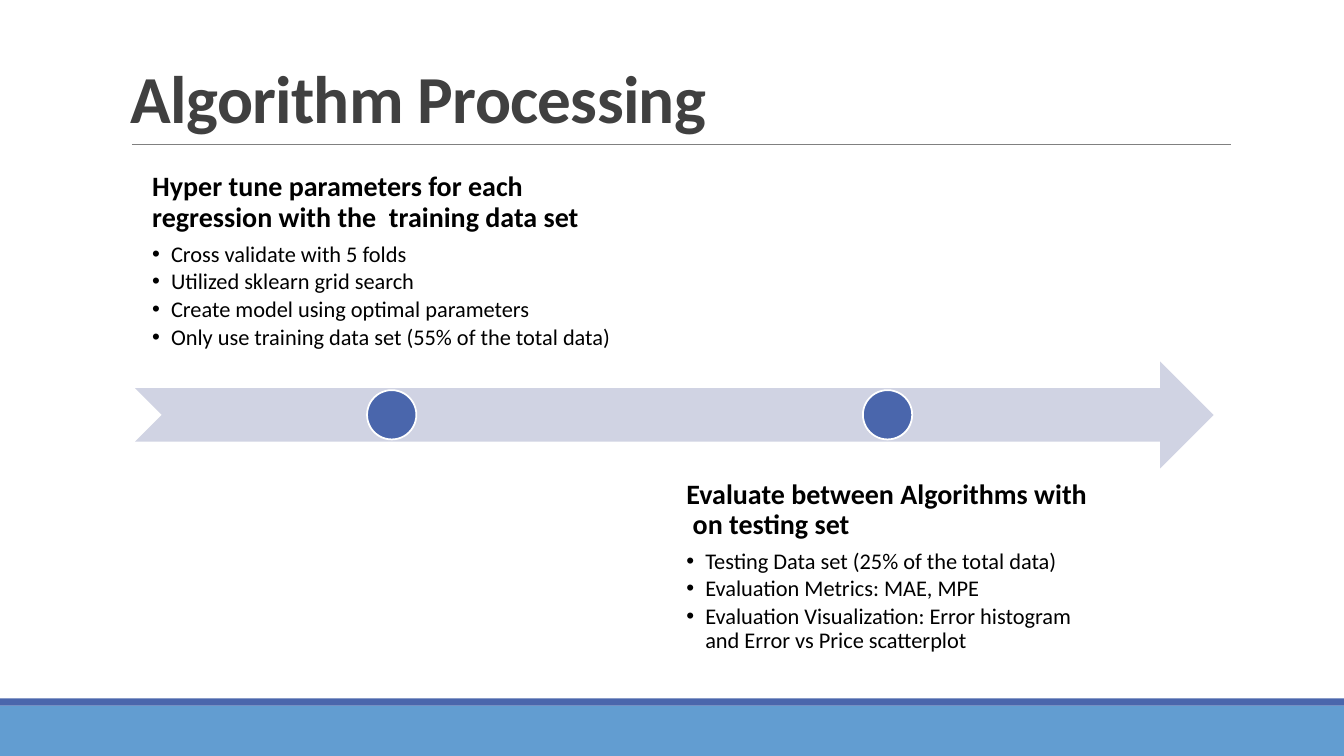
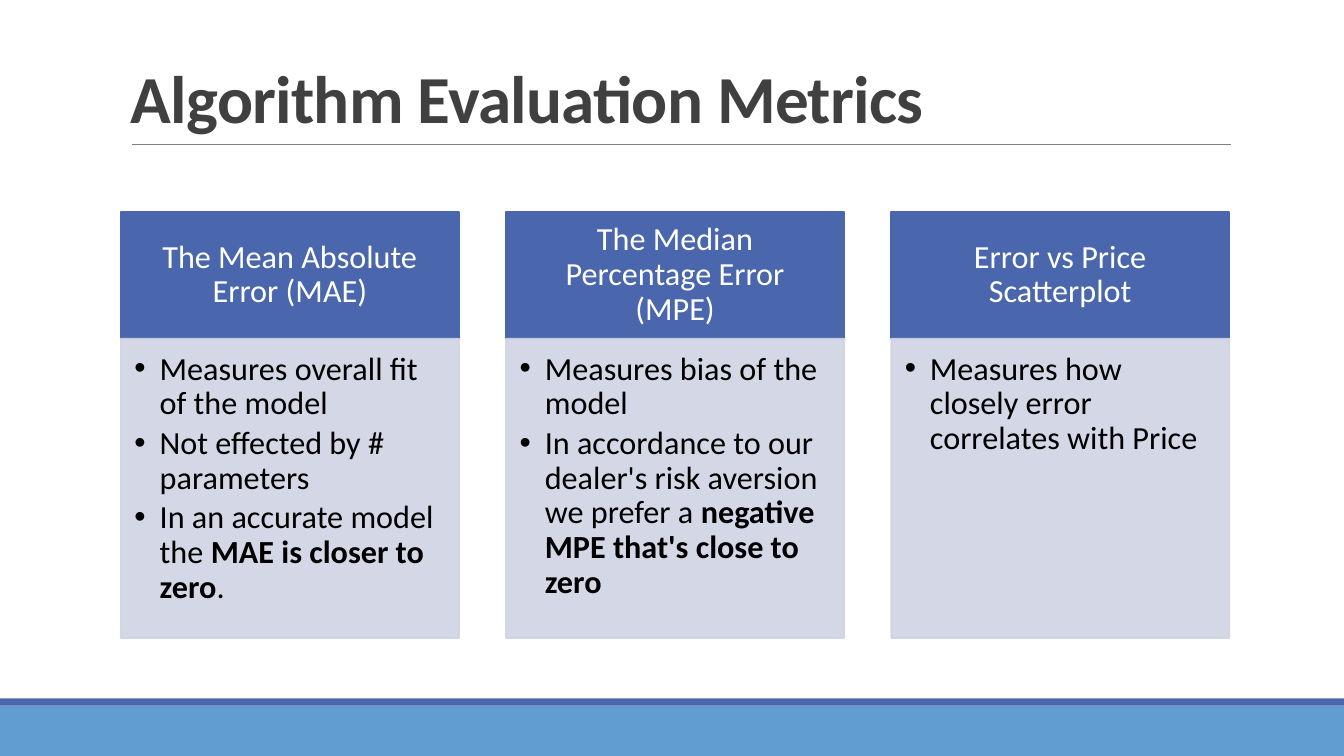
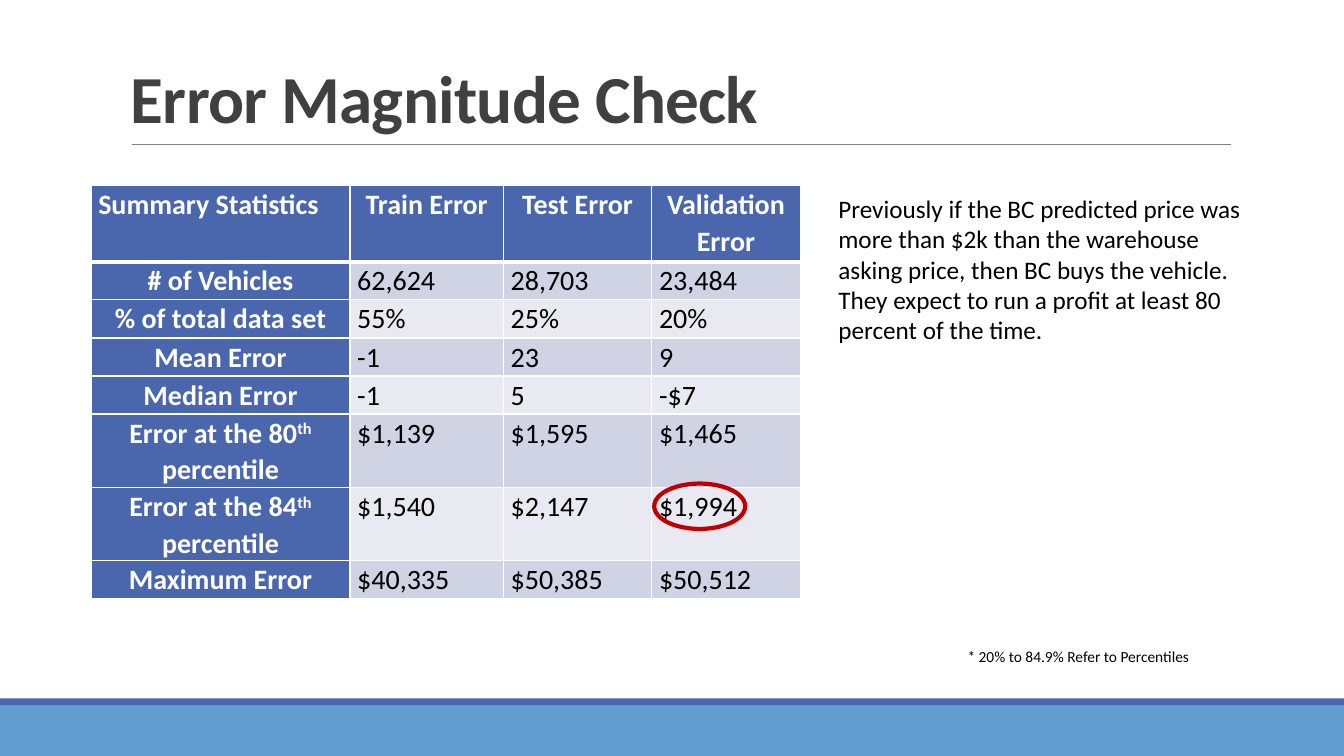
import pptx
import pptx.util
import pptx.dml.color
import pptx.enum.shapes
import pptx.enum.text
import pptx.oxml
from lxml import etree
from pptx.oxml import ns

Pt = pptx.util.Pt
MSO_SHAPE = pptx.enum.shapes.MSO_SHAPE
ANCHOR = pptx.enum.text.MSO_ANCHOR
CENTER = pptx.enum.text.PP_ALIGN.CENTER
FONT = "Calibri"
COLORS = {
    "accent": "4A66AC", "band": "629DD1", "rule": "808080", "title": "404040",
    "tint": "D0D3E3", "pale": "E9EAF1", "white": "FFFFFF", "black": "000000", "mark": "C00000",
}
RGB = {name: pptx.dml.color.RGBColor.from_string(value) for name, value in COLORS.items()}


def add_box(s, kind, at, fill=None, line=None, width=1.25, anchor=ANCHOR.TOP, insets=(7.2, 3.6, 7.2, 3.6)):
    if kind is None:
        sp = s.shapes.add_textbox(*map(Pt, at))
    else:
        sp = s.shapes.add_shape(kind, *map(Pt, at))
        sp.shadow.inherit = False
    if fill:
        sp.fill.solid()
        sp.fill.fore_color.rgb = RGB[fill]
    else:
        sp.fill.background()
    if line:
        sp.line.color.rgb = RGB[line]
        sp.line.width = Pt(width)
    else:
        sp.line.fill.background()
    tf = sp.text_frame
    tf.word_wrap = True
    tf.vertical_anchor = anchor
    tf.margin_left, tf.margin_top, tf.margin_right, tf.margin_bottom = map(Pt, insets)
    return sp


def add_para(tf, runs, size, color="black", bold=False, align=None, spacing=1.0, after=0, indent=0):
    p = tf.paragraphs[-1]
    if p.runs:
        p = tf.add_paragraph()
    p.alignment = align or pptx.enum.text.PP_ALIGN.LEFT
    p.line_spacing = spacing
    p.space_after = Pt(after)
    if indent:
        pPr = p._p.get_or_add_pPr()
        pPr.set("marL", str(Pt(indent)))
        pPr.set("indent", str(-Pt(indent)))
        etree.SubElement(pPr, ns.qn("a:buFont")).set("typeface", "Arial")
        etree.SubElement(pPr, ns.qn("a:buChar")).set("char", "•")
    for text, style in [(runs, "")] if isinstance(runs, str) else runs:
        r = p.add_run()
        r.text = text
        r.font.name = FONT
        r.font.size = Pt(size)
        r.font.bold = bold or style == "bold"
        r.font.color.rgb = RGB[color]
        if style == "super":
            r._r.get_or_add_rPr().set("baseline", "30000")
    return p


prs = pptx.Presentation()
prs.slide_width, prs.slide_height = Pt(960), Pt(540)

slides = []
for title in ["Algorithm Processing", "Algorithm Evaluation Metrics", "Error Magnitude Check"]:
    s = prs.slides.add_slide(prs.slide_layouts[6])
    add_box(s, MSO_SHAPE.RECTANGLE, (0, 504, 960, 36), "band")
    add_box(s, MSO_SHAPE.RECTANGLE, (0, 498.8, 960, 5.2), "accent")
    rule = s.shapes.add_connector(pptx.enum.shapes.MSO_CONNECTOR.STRAIGHT, Pt(94.3), Pt(103.4), Pt(879), Pt(103.4))
    rule.line.color.rgb = RGB["rule"]
    rule.line.width = Pt(0.5)
    etree.SubElement(rule._element.spPr, ns.qn("a:effectLst"))
    sp = add_box(s, None, (86.4, 22.6, 792, 79), anchor=ANCHOR.BOTTOM)
    p = add_para(sp.text_frame, title, 48, "title", True, spacing=0.85)
    p.runs[0]._r.get_or_add_rPr().set("spc", "-50")
    slides.append(s)

s = slides[0]
add_box(s, MSO_SHAPE.NOTCHED_RIGHT_ARROW, (96.5, 258.2, 770.4, 76.4), "tint")
steps = [
    ((97.2, 121, 365.8, 140.4), ANCHOR.BOTTOM, 262.2,
     "Hyper tune parameters for each regression with the  training data set",
     ["Cross validate with 5 folds", "Utilized sklearn grid search", "Create model using optimal parameters",
      "Only use training data set (55% of the total data)"]),
    ((478.8, 331.2, 311, 140.4), ANCHOR.TOP, 616.4,
     "Evaluate between Algorithms with  on testing set",
     ["Testing Data set (25% of the total data)", "Evaluation Metrics: MAE, MPE",
      "Evaluation Visualization: Error histogram and Error vs Price scatterplot"]),
]
for at, anchor, dot_left, heading, bullets in steps:
    tf = add_box(s, None, at, anchor=anchor, insets=[11.5] * 4).text_frame
    add_para(tf, heading, 20, bold=True, spacing=0.9, after=7)
    for bullet in bullets:
        add_para(tf, bullet, 16, spacing=0.9, after=2.4, indent=13.5)
    add_box(s, MSO_SHAPE.OVAL, (dot_left, 278.7, 35.2, 35.2), "accent", "white")

s = slides[1]
metrics = [
    ("The Mean Absolute Error (MAE)",
     ["Measures overall fit of the model", "Not effected by # parameters",
      [("In an accurate model the", ""), (" MAE is closer to zero", "bold"), (".", "")]]),
    ("The Median Percentage Error (MPE)",
     ["Measures bias of the model",
      [("In accordance to our dealer's risk aversion we prefer a ", ""),
       ("negative MPE that's close to zero", "bold")]]),
    ("Error vs Price Scatterplot", ["Measures how closely error correlates with Price"]),
]
for i, (heading, bullets) in enumerate(metrics):
    left = 86.4 + i * 275.1
    sp = add_box(s, MSO_SHAPE.RECTANGLE, (left, 151.2, 241.5, 90.7), "accent", "accent",
                 anchor=ANCHOR.MIDDLE, insets=(12.9, 7.4, 12.9, 7.4))
    add_para(sp.text_frame, heading, 23, "white", align=CENTER, spacing=0.9)
    sp = add_box(s, MSO_SHAPE.RECTANGLE, (left, 241.9, 241.5, 213.8), "tint", "tint",
                 insets=(9.7, 9.7, 12.9, 14.5))
    for clr in sp._element.spPr.iter(ns.qn("a:srgbClr")):
        etree.SubElement(clr, ns.qn("a:alpha")).set("val", "90000")
    for bullet in bullets:
        add_para(sp.text_frame, bullet, 23, spacing=0.9, after=3.5, indent=18)

s = slides[2]
rows = [
    ("Summary Statistics", "Train Error", "Test Error", "Validation Error"),
    ("# of Vehicles", "62,624", "28,703", "23,484"),
    ("% of total data set", "55%", "25%", "20%"),
    ("Mean Error", "-1", "23", "9"),
    ("Median Error", "-1", "5", "-$7"),
    ([("Error at the 80", ""), ("th", "super"), (" percentile", "")], "$1,139", "$1,595", "$1,465"),
    ([("Error at the 84", ""), ("th", "super"), (" percentile", "")], "$1,540", "$2,147", "$1,994"),
    ("Maximum Error", "$40,335", "$50,385", "$50,512"),
]
widths = [185, 109.6, 106, 106]
heights = [54.4] + [27.2] * 4 + [52.4] * 2 + [27.2]
table = s.shapes.add_table(len(rows), len(widths), Pt(65), Pt(132.6), Pt(sum(widths)), Pt(sum(heights))).table
table.first_col = True
for col, width in zip(table.columns, widths):
    col.width = Pt(width)
for i, row in enumerate(rows):
    table.rows[i].height = Pt(heights[i])
    for j, text in enumerate(row):
        cell = table.cell(i, j)
        header = i == 0 or j == 0
        cell.margin_left = cell.margin_right = Pt(5.2)
        cell.margin_top = cell.margin_bottom = 0
        cell.fill.solid()
        cell.fill.fore_color.rgb = RGB["accent" if header else "tint" if i % 2 else "pale"]
        add_para(cell.text_frame, text, 20, "white" if header else "black", header,
                 CENTER if header and i + j > 0 else None, 1.07)
        tcPr = cell._tc.get_or_add_tcPr()
        for k, side in enumerate("LRTB"):
            thick = (i, side) in [(0, "B"), (1, "T")]
            ln = etree.Element(ns.qn("a:ln" + side), w=str(Pt(3 if thick else 1)))
            fill = etree.SubElement(ln, ns.qn("a:solidFill"))
            etree.SubElement(fill, ns.qn("a:srgbClr")).set("val", COLORS["white"])
            tcPr.insert(k, ln)

sp = add_box(s, None, (684, 458.6, 185.8, 20.9))
add_para(sp.text_frame, "* 20% to 84.9% Refer to Percentiles", 11)
sp = add_box(s, None, (591.8, 134.6, 310.4, 116.6))
add_para(sp.text_frame, "Previously if the BC predicted price was more than $2k than the warehouse asking price, "
         "then BC buys the vehicle. They expect to run a profit at least 80 percent of the time.", 18)
add_box(s, MSO_SHAPE.OVAL, (467.3, 345.4, 65, 32.4), line="mark", width=3)

prs.save("out.pptx")
